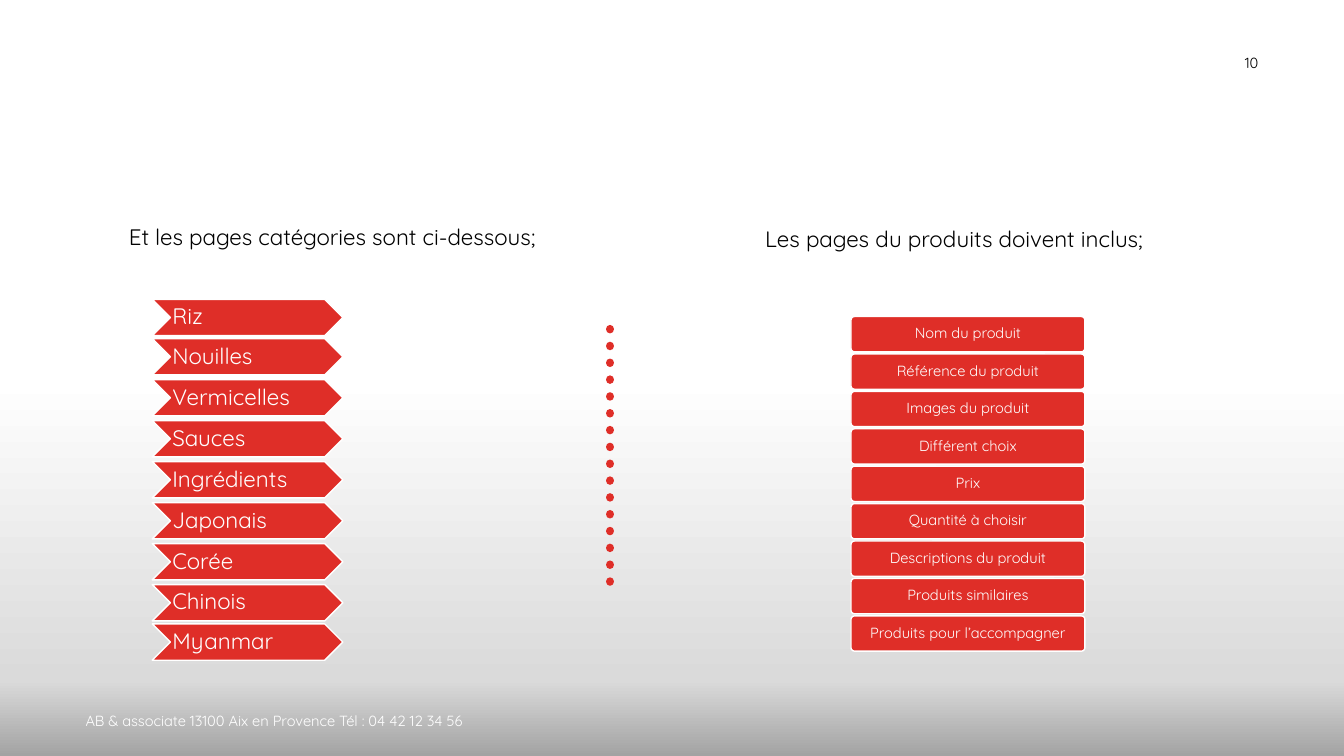
"""Build the slide listing the category pages and the product page contents."""
from lxml import etree
from pptx import Presentation
from pptx.dml.color import RGBColor
from pptx.enum.dml import MSO_LINE
from pptx.enum.shapes import MSO_CONNECTOR, MSO_SHAPE
from pptx.enum.text import MSO_ANCHOR, PP_ALIGN
from pptx.oxml.ns import qn
from pptx.util import Inches, Pt

RED = RGBColor(0xDF, 0x2E, 0x28)
WHITE = RGBColor(0xFF, 0xFF, 0xFF)
BLACK = RGBColor(0x00, 0x00, 0x00)
LIGHT_GREY = RGBColor(0xDA, 0xDA, 0xDA)
DARK_GREY = RGBColor(0xA3, 0xA3, 0xA3)
FONT = "Quicksand"
LEFT, CENTER, RIGHT = PP_ALIGN.LEFT, PP_ALIGN.CENTER, PP_ALIGN.RIGHT
TOP, MIDDLE = MSO_ANCHOR.TOP, MSO_ANCHOR.MIDDLE
CHEVRON, ROUNDED = MSO_SHAPE.CHEVRON, MSO_SHAPE.ROUNDED_RECTANGLE


def write(shape, text, size, color, align=LEFT, spacing=1.0, frame_format=None):
    frame = shape.text_frame
    settings = {"word_wrap": True, "vertical_anchor": MIDDLE, **(frame_format or {})}
    for attribute, value in settings.items():
        setattr(frame, attribute, value)
    paragraph = frame.paragraphs[0]
    paragraph.alignment = align
    paragraph.line_spacing = spacing
    run = paragraph.add_run()
    run.text = text
    run.font.name = FONT
    run.font.size = Pt(size)
    run.font.color.rgb = color


def add_label(kind, box, corner, text, size, align, margins):
    label = slide.shapes.add_shape(kind, *map(Inches, box))
    label.adjustments[0] = corner
    label.shadow.inherit = False
    label.fill.solid()
    label.fill.fore_color.rgb = RED
    label.line.color.rgb = WHITE
    label.line.width = Pt(1)
    sides = ("margin_left", "margin_top", "margin_right", "margin_bottom")
    write(label, text, size, WHITE, align, 0.9, dict(zip(sides, map(Inches, margins))))


presentation = Presentation()
presentation.slide_width = Inches(13.33)
presentation.slide_height = Inches(7.5)
slide = presentation.slides.add_slide(presentation.slide_layouts[6])

backdrop = slide.background.fill
backdrop.gradient()
backdrop.gradient_angle = 270
stops = slide.background._cSld.find(".//" + qn("a:gsLst"))
for stop in list(stops):
    stops.remove(stop)
for percent, color in ((0, WHITE), (50, WHITE), (90, LIGHT_GREY), (100, DARK_GREY)):
    stop = etree.SubElement(stops, qn("a:gs"), pos=str(percent * 1000))
    etree.SubElement(stop, qn("a:srgbClr"), val=str(color))

texts = (
    ("Et les pages catégories sont ci-dessous;",
     (1.18, 2.04, 4.45, 0.65), 16, BLACK, LEFT, 0.9, {}),
    ("Les pages du produits doivent inclus;",
     (7.49, 2.18, 4.18, 0.37), 16, BLACK, LEFT, 1.0,
     {"word_wrap": False, "vertical_anchor": TOP}),
    ("10", (9.58, 0.42, 3, 0.4), 10.5, BLACK, RIGHT, 1.0, {}),
    ("AB & associate 13100 Aix en Provence Tél : 04 42 12 34 56",
     (0.75, 6.95, 8.5, 0.4), 10.5, WHITE, LEFT, 1.0, {}),
)
for text, box, size, color, align, spacing, frame_format in texts:
    write(slide.shapes.add_textbox(*map(Inches, box)), text, size, color,
          align, spacing, frame_format)

categories = ("Riz", "Nouilles", "Vermicelles", "Sauces", "Ingrédients",
              "Japonais", "Corée", "Chinois", "Myanmar")
inner_pitch = (5.8 - 3.36) / 6
category_tops = [2.97, *(3.36 + inner_pitch * i for i in range(7)), 6.19]
for category, top in zip(categories, category_tops):
    add_label(CHEVRON, (1.51, top, 1.89, 0.36), 0.5, category, 16, LEFT,
              (0.02, 0.01, 0, 0.01))

divider = slide.shapes.add_connector(
    MSO_CONNECTOR.STRAIGHT, Inches(6.05), Inches(5.77), Inches(6.05), Inches(3.14))
divider.line.color.rgb = RED
divider.line.width = Pt(6)
divider.line.dash_style = MSO_LINE.ROUND_DOT
divider.line._get_or_add_ln().set("cap", "rnd")
etree.SubElement(divider._element.spPr, qn("a:effectLst"))

product_fields = ("Nom du produit", "Référence du produit", "Images du produit",
                  "Différent choix", "Prix", "Quantité à choisir",
                  "Descriptions du produit", "Produits similaires",
                  "Produits pour l’accompagner")
field_pitch = (6.11 - 3.14) / 8
for i, field in enumerate(product_fields):
    add_label(ROUNDED, (8.44, 3.14 + field_pitch * i, 2.32, 0.35), 0.1, field, 10.5,
              CENTER, (0.05, 0.02, 0.05, 0.02))

presentation.save("out.pptx")
